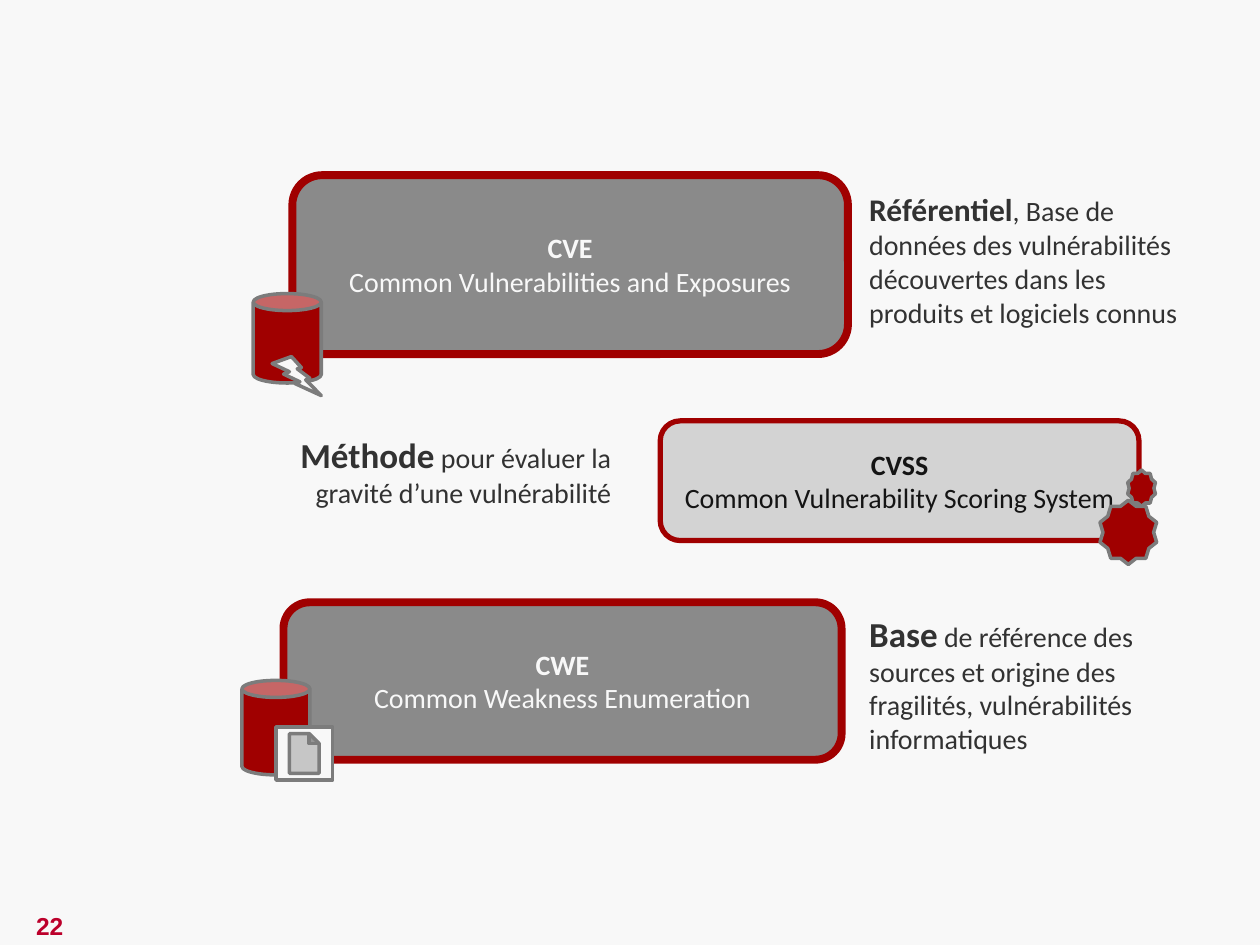
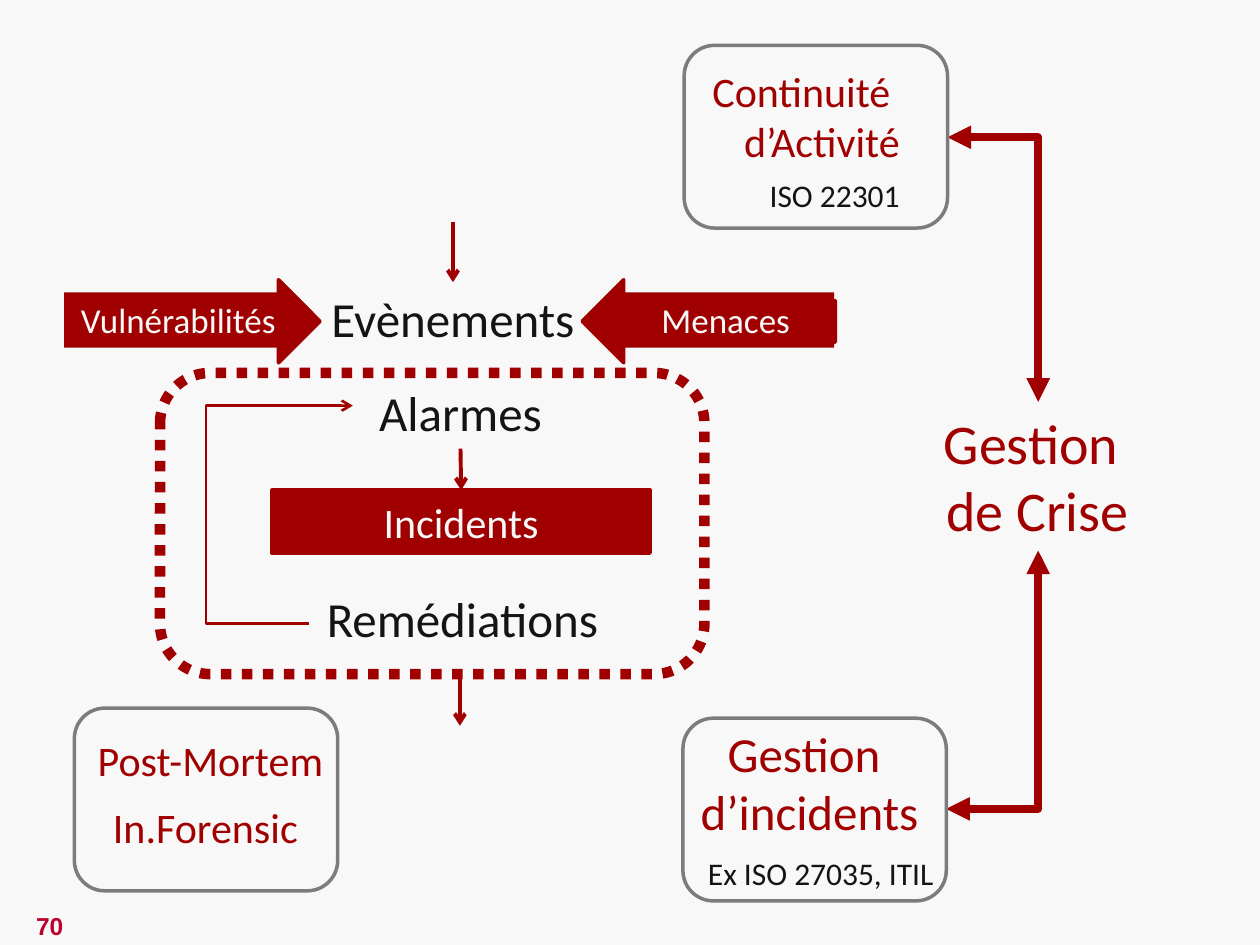
import pptx
import pptx.util
import pptx.dml.color
import pptx.enum.dml
import pptx.enum.shapes
import pptx.enum.text
import pptx.oxml.ns

SHAPE = pptx.enum.shapes.MSO_SHAPE
LINK = pptx.enum.shapes.MSO_CONNECTOR
ALIGN = pptx.enum.text.PP_ALIGN
ANCHOR = pptx.enum.text.MSO_ANCHOR
TOP, BOTTOM = 0, 2
COLUMNS, ROWS = 100, 75


class Theme:
    colours = {
        "paper": "F8F8F8", "red": "A00000", "number": "BC002B", "ink": "141414",
        "body": "323232", "steel": "8A8A8A", "silver": "D3D3D3", "outline": "7C7C7C",
    }
    sizes = {"number": 14, "small": 16, "note": 18, "lead": 20, "label": 24, "step": 28, "crisis": 32}
    font = "Calibri"
    number_font = "Arial"

    @classmethod
    def colour(cls, name):
        return pptx.dml.color.RGBColor.from_string(cls.colours[name])


def apply(target, values):
    for name, value in values.items():
        setattr(target, name, value)


class Deck:
    def __init__(self):
        self.file = pptx.Presentation()
        apply(self.file, {"slide_width": pptx.util.Inches(10), "slide_height": pptx.util.Inches(7.5)})
        self.slide = None

    def new_slide(self, number):
        self.slide = self.file.slides.add_slide(self.file.slide_layouts[6])
        fill = self.slide.background.fill
        fill.solid()
        fill.fore_color.rgb = Theme.colour("paper")
        self.text((-0.2, 71.8, 8.3, 3.4), [[(number, "number", True)]], "number",
                  anchor=ANCHOR.MIDDLE, font=Theme.number_font)

    def grid(self, at):
        steps = (self.file.slide_width / COLUMNS, self.file.slide_height / ROWS)
        return [round(value * steps[i % 2]) for i, value in enumerate(at)]

    def set_text(self, shape, paragraphs, colour, align=ALIGN.CENTER, anchor=ANCHOR.TOP,
                 wrap=True, font=Theme.font):
        frame = shape.text_frame
        apply(frame, {"word_wrap": wrap, "vertical_anchor": anchor})
        for i, runs in enumerate(paragraphs):
            paragraph = frame.paragraphs[0] if i == 0 else frame.add_paragraph()
            paragraph.alignment = align
            for words, size, bold in runs:
                for j, line in enumerate(words.split("\n")):
                    if j:
                        paragraph.add_line_break()
                    run = paragraph.add_run()
                    run.text = line
                    apply(run.font, {"name": font, "bold": bold,
                                     "size": pptx.util.Pt(Theme.sizes[size])})
                    run.font.color.rgb = Theme.colour(colour)

    def text(self, at, paragraphs, colour, **style):
        box = self.slide.shapes.add_textbox(*self.grid(at))
        self.set_text(box, paragraphs, colour, **style)
        return box

    def line_style(self, line, colour, width):
        line.color.rgb = Theme.colour(colour)
        line.width = pptx.util.Pt(width)

    def shape(self, kind, at, fill=None, line=None, width=2, rotation=0):
        shape = self.slide.shapes.add_shape(kind, *self.grid(at))
        shape.shadow.inherit = False
        shape.rotation = rotation
        if fill:
            shape.fill.solid()
            shape.fill.fore_color.rgb = Theme.colour(fill)
        else:
            shape.fill.background()
        if line:
            self.line_style(shape.line, line, width)
        else:
            shape.line.fill.background()
        return shape

    def box(self, kind, at, paragraphs, fill, colour, line=None, width=2, anchor=ANCHOR.MIDDLE):
        shape = self.shape(kind, at, fill, line, width)
        self.set_text(shape, paragraphs, colour, anchor=anchor)
        return shape

    def arrow(self, ends, width=2.25, kind=LINK.STRAIGHT, geometry=None, bend=None,
              head=None, tail="arrow", source=None, target=None):
        arrow = self.slide.shapes.add_connector(kind, *self.grid(ends))
        if source:
            arrow.begin_connect(source, BOTTOM)
        if target:
            arrow.end_connect(target, TOP)
        self.line_style(arrow.line, "red", width)
        qn = pptx.oxml.ns.qn
        properties = arrow.element.spPr
        preset = properties.find(qn("a:prstGeom"))
        if geometry:
            preset.set("prst", geometry)
        if bend is not None:
            guides = preset.find(qn("a:avLst"))
            guides.append(guides.makeelement(
                qn("a:gd"), {"name": "adj1", "fmla": f"val {round(bend * 100000)}"}))
        outline = properties.find(qn("a:ln"))
        for tag, end in (("a:headEnd", head), ("a:tailEnd", tail)):
            if end:
                outline.append(outline.makeelement(qn(tag), {"type": end}))
        properties.append(properties.makeelement(qn("a:effectLst"), {}))
        return arrow


def add_vulnerability_standards(deck):
    deck.new_slide("22")
    standards = [
        ("CVE", "Common Vulnerabilities and Exposures", (23.2, 13.9, 44.1, 14.2), "steel", "paper", 4.5),
        ("CWE", "Common Weakness Enumeration", (22.5, 47.8, 44.3, 12.5), "steel", "paper", 4.5),
        ("CVSS", "Common Vulnerability Scoring System", (52.4, 33.4, 38, 9.5), "silver", "ink", 3),
    ]
    for acronym, meaning, at, fill, colour, width in standards:
        deck.box(SHAPE.ROUNDED_RECTANGLE, at,
                 [[(acronym, "small", True)], [(meaning, "small", False)]],
                 fill, colour, "red", width)

    icons = [
        (SHAPE.CAN, (20.1, 23.3, 5.4, 7.1), "red"),
        (SHAPE.CAN, (19.2, 54, 5.4, 7.5), "red"),
        (SHAPE.STAR_10_POINT, (87.3, 39.7, 4.5, 5.1), "red"),
        (SHAPE.STAR_10_POINT, (89.5, 37.3, 2.2, 2.9), "red"),
        (SHAPE.ACTION_BUTTON_DOCUMENT, (21.9, 57.7, 4.5, 4.2), "paper"),
        (SHAPE.LIGHTNING_BOLT, (21.6, 28.3, 3.9, 3.1), "paper"),
    ]
    for kind, at, fill in icons:
        deck.shape(kind, at, fill, "outline")

    roles = [
        ("Méthode", "lead", " pour évaluer la gravité d’une vulnérabilité",
         (21.9, 33.9, 27.6, 7.1), ALIGN.RIGHT),
        ("Référentiel", "note",
         ", Base de données des vulnérabilités découvertes dans les produits et logiciels connus",
         (68, 14.6, 27.6, 12.1), ALIGN.LEFT),
        ("Base", "lead",
         " de référence des sources et origine des fragilités, vulnérabilités informatiques",
         (68, 48.1, 25.4, 12.5), ALIGN.LEFT),
    ]
    for role, size, detail, at, align in roles:
        deck.text(at, [[(role, size, True), (detail, "small", False)]], "body", align=align)


def add_incident_flow(deck):
    deck.new_slide("70")
    steps = {
        "Evènements": (22.8, 22.4, 26.3, 5.7),
        "Alarmes": (27.9, 29.9, 17.3, 5.7),
        "Remédiations": (24.3, 46.2, 24.8, 5.7),
    }
    events, alarms, _ = [deck.text(at, [[(step, "step", False)]], "ink")
                         for step, at in steps.items()]
    incidents = deck.box(SHAPE.RECTANGLE, (21.6, 38.9, 30, 5), [[("Incidents", "label", False)]],
                         "red", "paper", "red")
    deck.arrow((35.95, 17.6, 35.95, 22.4), target=events)
    deck.arrow((36.6, 35.6, 36.6, 38.9), source=alarms, target=incidents)
    deck.arrow((36.5, 53.9, 36.5, 57.6))

    causes = [
        ("Vulnérabilités", (6, 22.2, 19.4, 6.6), 0, (5.1, 23.2, 18.1, 4.4)),
        ("Menaces", (46.2, 22.2, 20.1, 6.6), 180, (49, 23.2, 17.2, 4.4)),
    ]
    for cause, arrow_at, rotation, label_at in causes:
        deck.shape(SHAPE.RIGHT_ARROW, arrow_at, "red", "red", rotation=rotation)
        deck.box(SHAPE.RECTANGLE, label_at, [[(cause, "lead", False)]], "red", "paper",
                 anchor=ANCHOR.TOP)

    treatment = deck.shape(SHAPE.ROUNDED_RECTANGLE, (12.7, 29.6, 43.2, 23.9), line="red", width=6)
    treatment.line.dash_style = pptx.enum.dml.MSO_LINE.ROUND_DOT
    deck.arrow((24.5, 49.5, 28, 32.2), 1.5, LINK.ELBOW, bend=-2.33)

    processes = [
        ((53.4, 56.9, 21.7, 10.4), ["Gestion \nd’incidents"], "step", ALIGN.CENTER),
        ((71.7, 31.9, 21.3, 11.8), ["Gestion \nde Crise"], "crisis", ALIGN.CENTER),
        ((5.1, 57.8, 23.2, 5), ["Post-Mortem"], "label", ALIGN.CENTER),
        ((4.7, 63.1, 23.2, 5), ["In.Forensic"], "label", ALIGN.CENTER),
        ((52.3, 4.7, 20.1, 9.1), ["Continuité ", "d’Activité"], "label", ALIGN.RIGHT),
    ]
    for at, lines, size, align in processes:
        deck.text(at, [[(line, size, False)] for line in lines], "red", align=align)

    norms = [
        ("ISO 22301", (59.9, 13.5, 12.5, 4), ALIGN.RIGHT),
        ("Ex ISO 27035, ITIL", (55.2, 67.3, 20.7, 4), ALIGN.LEFT),
    ]
    for norm, at, align in norms:
        deck.text(at, [[(norm, "note", False)]], "ink", align=align, wrap=False)

    for ends in ((75.1, 64.2, 82.4, 43.7), (75.2, 10.9, 82.4, 31.9)):
        deck.arrow(ends, 4.5, LINK.ELBOW, "bentConnector2", head="triangle", tail="triangle")
    for left, top in ((54.3, 3.6), (54.2, 57), (5.9, 56.2)):
        deck.shape(SHAPE.ROUNDED_RECTANGLE, (left, top, 20.9, 14.5), line="outline")


def main():
    deck = Deck()
    add_vulnerability_standards(deck)
    add_incident_flow(deck)
    deck.file.save("out.pptx")


if __name__ == "__main__":
    main()
